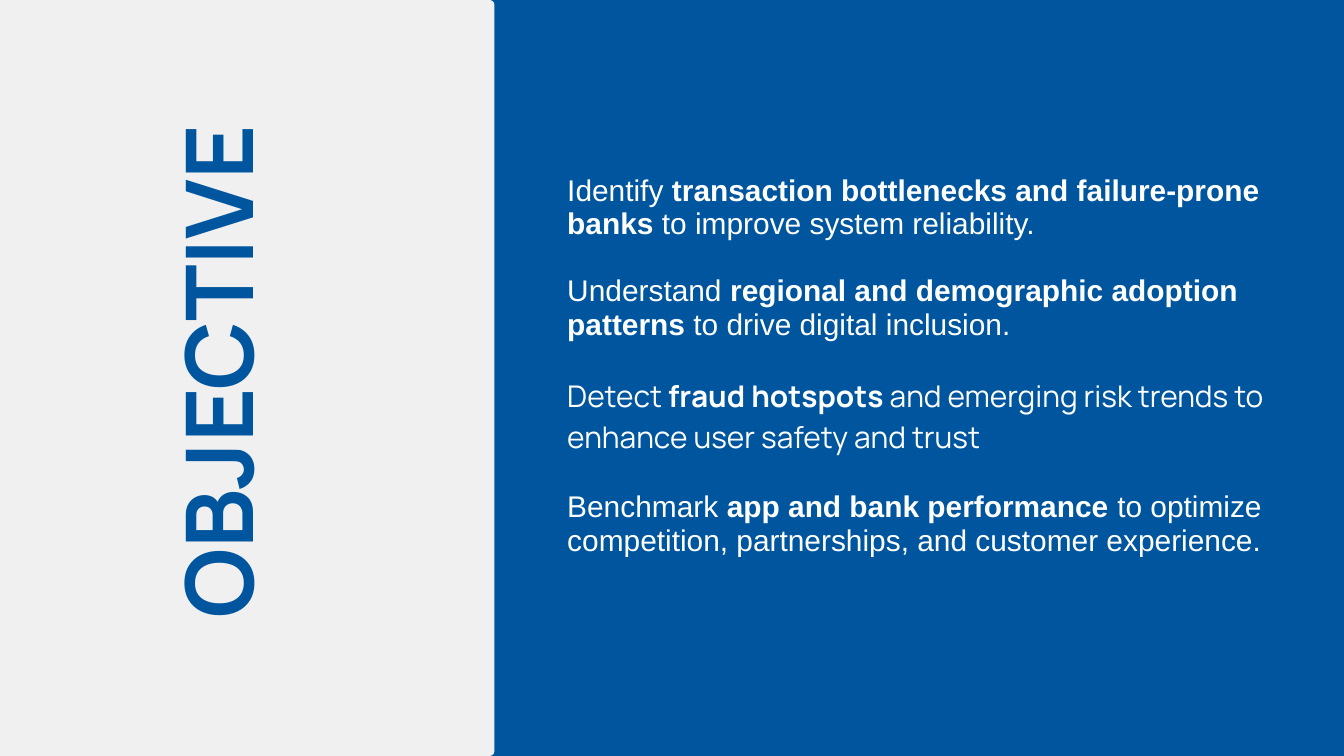
from lxml.etree import SubElement
from pptx import Presentation
from pptx.dml.color import RGBColor
from pptx.enum.shapes import MSO_SHAPE
from pptx.enum.text import MSO_ANCHOR, PP_ALIGN
from pptx.oxml.ns import qn
from pptx.util import Cm, Pt

COLORS = {"blue": "00569E", "pale": "F0F0F0", "white": "FFFFFF"}
WIDE, HIGH = 50.8, 28.58
GOALS = [
    ("Arial", "Identify ", "transaction bottlenecks and failure-prone banks",
     " to improve system reliability."),
    ("Arial", "Understand ", "regional and demographic adoption patterns",
     " to drive digital inclusion."),
    ("Manrope", "Detect ", "fraud hotspots",
     " and emerging risk trends to enhance user safety and trust"),
    ("Arial", "Benchmark ", "app and bank performance",
     " to optimize competition, partnerships, and customer experience."),
]


def color(name):
    return RGBColor.from_string(COLORS[name])


def style(font, face, size, tone, bold):
    font.name = face
    font.size = Pt(size)
    font.color.rgb = color(tone)
    font.bold = bold


def clear(frame):
    frame.margin_left = frame.margin_right = 0
    frame.margin_top = frame.margin_bottom = 0


def add_panel(group, kind, width):
    panel = group.shapes.add_shape(kind, 0, 0, Cm(width), Cm(HIGH))
    panel.shadow.inherit = False
    panel.fill.solid()
    panel.fill.fore_color.rgb = color("pale")
    panel.line.fill.background()
    return panel


def add_title(slide, text):
    box = slide.shapes.add_textbox(Cm(-3.25), Cm(11.56), Cm(22.86), Cm(4.27))
    box.rotation = 270
    frame = box.text_frame
    frame.word_wrap = True
    clear(frame)
    frame.text = text
    line = frame.paragraphs[0]
    line.alignment = PP_ALIGN.CENTER
    style(line.runs[0].font, "Manrope", 100, "blue", True)


def add_edges(cell):
    props = cell._tc.get_or_add_tcPr()
    for at, side in enumerate(("lnL", "lnR", "lnT", "lnB")):
        edge = props.makeelement(qn(f"a:{side}"), {"w": str(Pt(0.75))})
        fill = SubElement(edge, qn("a:solidFill"))
        SubElement(fill, qn("a:srgbClr"), val=COLORS["blue"])
        props.insert(at, edge)


def fill_goals(cell):
    clear(cell)
    cell.vertical_anchor = MSO_ANCHOR.MIDDLE
    frame = cell.text_frame
    for at, (face, *parts) in enumerate(GOALS):
        line = frame.add_paragraph() if at else frame.paragraphs[0]
        if at:
            line.space_before = Pt(36)
        for spot, part in enumerate(parts):
            run = line.add_run()
            run.text = part
            style(run.font, face, 32, "white", spot == 1)


def add_goals(slide):
    frame = slide.shapes.add_table(7, 2, Cm(21.44), Cm(6.58), Cm(27.03), Cm(19.71))
    table = frame.table
    table.first_row = table.horz_banding = False
    for col, width in zip(table.columns, (26.95, 0.08)):
        col.width = Cm(width)
    for at, row in enumerate(table.rows):
        row.height = Cm(1.27 if at else 12.09)
    for cell in table.iter_cells():
        clear(cell)
        cell.fill.background()
        add_edges(cell)
    fill_goals(table.cell(0, 0))


def main():
    deck = Presentation()
    deck.slide_width, deck.slide_height = Cm(WIDE), Cm(HIGH)
    slide = deck.slides.add_slide(deck.slide_layouts[6])
    slide.background.fill.solid()
    slide.background.fill.fore_color.rgb = color("blue")
    add_goals(slide)
    group = slide.shapes.add_group_shape()
    panel = add_panel(group, MSO_SHAPE.ROUNDED_RECTANGLE, 18.69)
    panel.adjustments[0] = 0.01
    add_panel(group, MSO_SHAPE.RECTANGLE, 12.07)
    add_title(slide, "OBJECTIVE ")
    deck.save("out.pptx")


if __name__ == "__main__":
    main()
